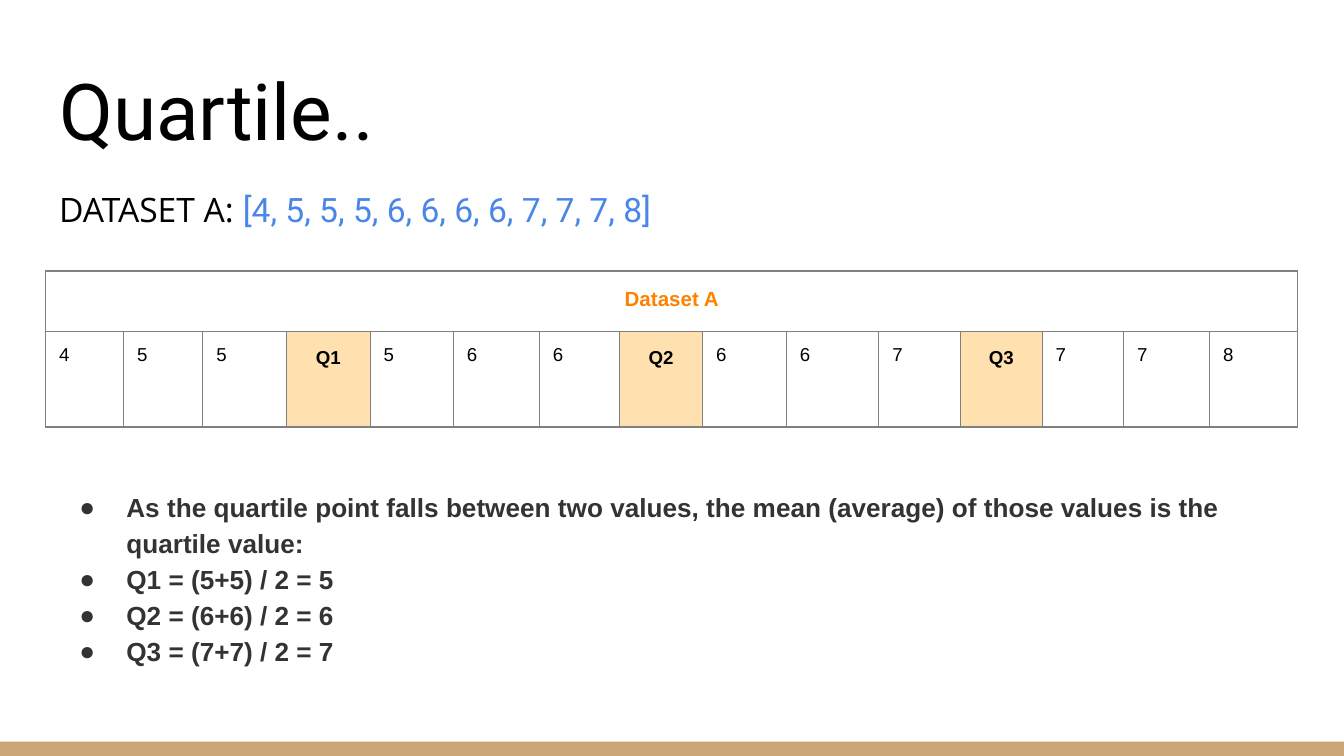
from pptx import Presentation
from pptx.dml.color import RGBColor
from pptx.enum import shapes, text
from pptx.oxml import parse_xml
from pptx.oxml.ns import nsdecls
from pptx.util import Pt

COLORS = {"black": "000000", "blue": "4A86E8", "orange": "FF8100", "dark": "333333",
          "grey": "808080", "white": "FFFFFF", "peach": "FFE1B0", "tan": "CCA677"}


def rgb(name):
    return RGBColor.from_string(COLORS[name])


def style(r, size, font, color, bold=False):
    r.font.size, r.font.name, r.font.bold = Pt(size), font, bold
    r.font.color.rgb = rgb(color)


prs = Presentation()
prs.slide_width, prs.slide_height = Pt(720), Pt(405)
s = prs.slides.add_slide(prs.slide_layouts[1])
title, body = s.placeholders
left, width = Pt(24.5), Pt(671)

# Bottom bar
bar = s.shapes.add_shape(shapes.MSO_SHAPE.RECTANGLE, 0, Pt(397.4), Pt(720), Pt(7.6))
bar.shadow.inherit = False
bar.fill.solid()
bar.fill.fore_color.rgb = rgb("tan")
bar.line.fill.background()

# Title and body frames
for sp, top, height, anchor in ((title, 25.2, 65.5, text.MSO_ANCHOR.BOTTOM),
                                (body, 90.7, 304, text.MSO_ANCHOR.TOP)):
    sp.left, sp.top, sp.width, sp.height = left, Pt(top), width, Pt(height)
    tf = sp.text_frame
    tf.word_wrap, tf.auto_size, tf.vertical_anchor = True, text.MSO_AUTO_SIZE.NONE, anchor
    tf.margin_left = tf.margin_right = tf.margin_top = tf.margin_bottom = Pt(7.2)

title.text_frame.text = "Quartile.."
p = title.text_frame.paragraphs[0]
p.alignment = text.PP_ALIGN.LEFT
style(p.runs[0], 42, "Roboto", "black")

# Dataset line, then the bullets below the table
tf = body.text_frame
p = tf.paragraphs[0]
for words, font, color in (("DATASET A: ", "Open Sans", "black"),
                           ("[4, 5, 5, 5, 6, 6, 6, 6, 7, 7, 7, 8]", "Roboto", "blue")):
    r = p.add_run()
    r.text = words
    style(r, 18, font, color)

bullets = ["As the quartile point falls between two values, the mean (average) of those "
           "values is the quartile value:",
           "Q1 = (5+5) / 2 = 5", "Q2 = (6+6) / 2 = 6", "Q3 = (7+7) / 2 = 7"]
for words in bullets:
    p = tf.add_paragraph()
    p.text = words
    style(p.runs[0], 14, "Arial", "dark", True)

for i, p in enumerate(tf.paragraphs):
    p.line_spacing = 1.15
    p.space_before = Pt(138 if i == 1 else 0)
    pPr = p._p.get_or_add_pPr()
    pPr.set("marL", str(Pt(36 if i else 0)))
    pPr.set("indent", str(Pt(-25.2 if i else 0)))
    if i:
        pPr.append(parse_xml(f'<a:buClr {nsdecls("a")}><a:srgbClr val="{COLORS["dark"]}"/></a:buClr>'))
        pPr.append(parse_xml(f'<a:buFont {nsdecls("a")} typeface="Arial"/>'))
        pPr.append(parse_xml(f'<a:buChar {nsdecls("a")} char="●"/>'))
    else:
        pPr.append(parse_xml(f'<a:buNone {nsdecls("a")}/>'))

# Quartile table
values = ["4", "5", "5", "Q1", "5", "6", "6", "Q2", "6", "6", "7", "Q3", "7", "7", "8"]
col_widths = [41.8, 42.4, 44.8, 44.9, 44.6, 46.1, 42.7, 44.8, 44.8, 49.6, 43.7, 43.8, 43.6, 46.1, 47.3]
table = s.shapes.add_table(2, len(values), left, Pt(145.2), width, Pt(83.6)).table
table.first_row = table.horz_banding = False
for col, w in zip(table.columns, col_widths):
    col.width = Pt(w)
table.rows[0].height, table.rows[1].height = Pt(32.4), Pt(51.2)
table.cell(0, 0).merge(table.cell(0, len(values) - 1))

table.cell(0, 0).text_frame.text = "Dataset A"
for c, value in enumerate(values):
    table.cell(1, c).text_frame.text = value

for cell in table.iter_cells():
    quartile = cell.text_frame.text.startswith("Q")
    header = cell.is_merge_origin
    cell.margin_left = cell.margin_right = cell.margin_top = cell.margin_bottom = Pt(7.2)
    p = cell.text_frame.paragraphs[0]
    if quartile or header:
        p.alignment, p.line_spacing = text.PP_ALIGN.CENTER, 1.15
    for r in p.runs:
        style(r, 11 if header else 10, "Arial", "orange" if header else "black", quartile or header)
    tcPr = cell._tc.get_or_add_tcPr()
    for side in ("lnL", "lnR", "lnT", "lnB"):
        tcPr.append(parse_xml(f'<a:{side} {nsdecls("a")} w="{Pt(0.75)}"><a:solidFill>'
                              f'<a:srgbClr val="{COLORS["grey"]}"/></a:solidFill></a:{side}>'))
    cell.fill.solid()
    cell.fill.fore_color.rgb = rgb("peach" if quartile else "white")

prs.save("out.pptx")
